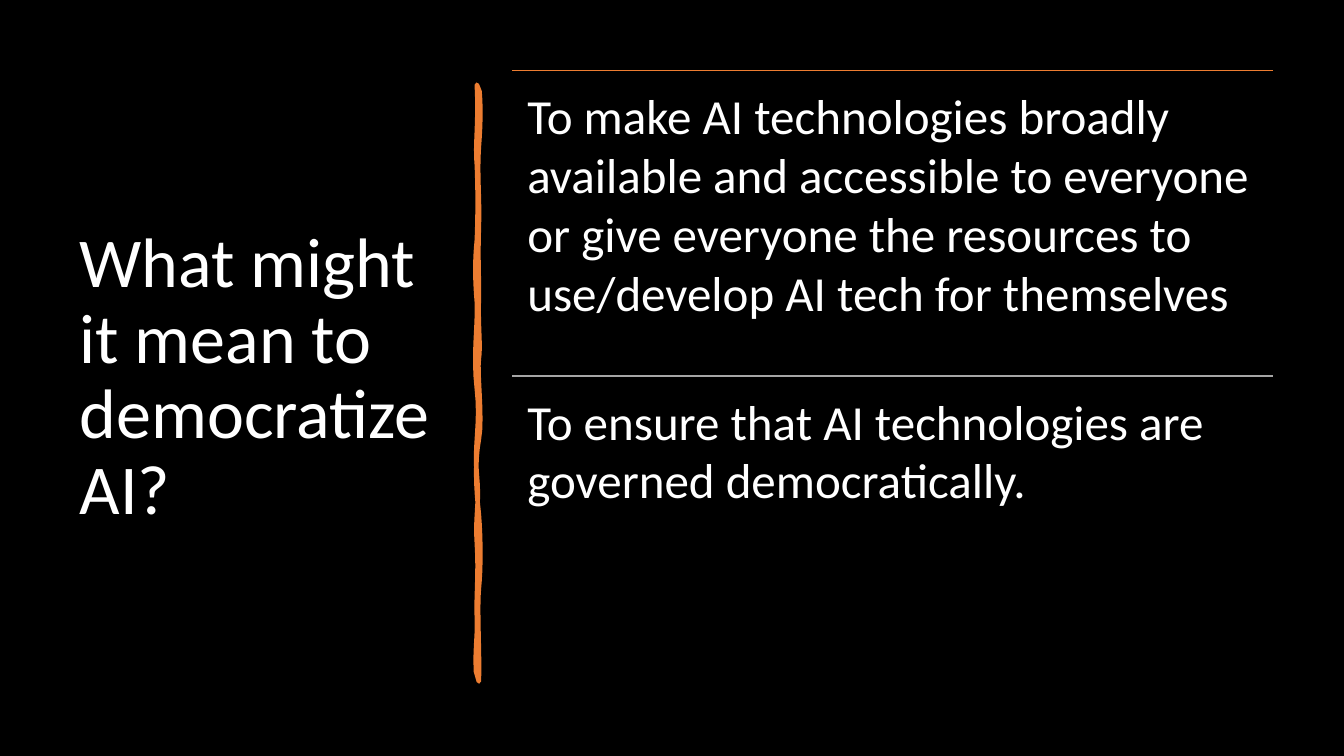
from pptx import Presentation
from pptx.dml.color import RGBColor
from pptx.enum import shapes, text
from pptx.oxml import ns
from pptx.util import Inches, Pt
from lxml import etree

BLACK = RGBColor(0x00, 0x00, 0x00)
WHITE = RGBColor(0xFF, 0xFF, 0xFF)
ORANGE = RGBColor(0xED, 0x7D, 0x31)
GRAY = RGBColor(0xA5, 0xA5, 0xA5)
FONT = "Calibri"

QUESTION = "What might it mean to democratize AI?"
MEANINGS = [
    ("To make AI technologies broadly available and accessible to everyone "
     "or give everyone the resources to use/develop AI tech for themselves", ORANGE),
    ("To ensure that AI technologies are governed democratically.", GRAY),
]

RIGHT_EDGE = [
    ((0.02, 0), (0.04, 0.18), (0.04, 0.35), (0.02, 0.62)),
    ((0.02, 0.62), (0, 0.89), (0.03, 1.11), (0.02, 1.42)),
    ((0.02, 1.42), (0.01, 1.73), (0.02, 1.78), (0.02, 2.1)),
    ((0.02, 2.1), (0.01, 2.41), (0.04, 2.58), (0.02, 2.72)),
    ((0.02, 2.72), (0, 2.86), (0.06, 3.3), (0.02, 3.52)),
    ((0.02, 3.52), (-0.02, 3.73), (-0.01, 4), (0.02, 4.26)),
    ((0.02, 4.26), (0.04, 4.52), (0.04, 4.8), (0.02, 5)),
    ((0.02, 5), (0, 5.19), (0.03, 5.66), (0.02, 5.92)),
]
LEFT_EDGE = [
    ((0, 5.92), (-0.03, 5.65), (0.01, 5.48), (0, 5.29)),
    ((0, 5.29), (-0.01, 5.11), (0.02, 4.85), (0, 4.55)),
    ((0, 4.55), (-0.02, 4.27), (0.03, 4.16), (0, 3.87)),
    ((0, 3.87), (-0.03, 3.58), (0.04, 3.36), (0, 3.02)),
    ((0, 3.02), (-0.04, 2.67), (0.01, 2.41), (0, 2.16)),
    ((0, 2.16), (-0.02, 1.91), (-0.02, 1.75), (0, 1.54)),
    ((0, 1.54), (0.01, 1.32), (0.01, 1.01), (0, 0.8)),
    ((0, 0.8), (-0.02, 0.59), (0.02, 0.37), (0, 0)),
]


def curve_points(curve, steps=8):
    """Return points along a cubic curve, without its start."""
    points = []
    for step in range(1, steps + 1):
        t = step / steps
        weights = ((1 - t) ** 3, 3 * t * (1 - t) ** 2, 3 * t * t * (1 - t), t ** 3)
        points.append(tuple(sum(w * p[axis] for w, p in zip(weights, curve))
                            for axis in (0, 1)))
    return points


def style_text(frame, size):
    """Give all text in a frame the slide's font and colour."""
    for paragraph in frame.paragraphs:
        paragraph.alignment = text.PP_ALIGN.LEFT
        for run in paragraph.runs:
            run.font.name = FONT
            run.font.size = Pt(size)
            run.font.color.rgb = WHITE


def add_question(slide, left, top, width, height):
    """Place the title, centred vertically in its box."""
    question = slide.shapes.title
    question.left, question.top = Inches(left), Inches(top)
    question.width, question.height = Inches(width), Inches(height)
    frame = question.text_frame
    frame.text = QUESTION
    frame.word_wrap = True
    frame.auto_size = text.MSO_AUTO_SIZE.NONE
    frame.vertical_anchor = text.MSO_ANCHOR.MIDDLE
    frame.paragraphs[0].line_spacing = 0.9
    style_text(frame, 50)


def add_brush_stroke(slide, left, top):
    """Draw the wavy upright divider from its top left corner."""
    points = [point for curve in RIGHT_EDGE + LEFT_EDGE for point in curve_points(curve)]
    outline = [(Inches(left + x), Inches(top + y)) for x, y in points]
    builder = slide.shapes.build_freeform(*outline[-1])
    builder.add_line_segments(outline[:-1], close=True)
    stroke = builder.convert_to_shape()
    stroke.shadow.inherit = False
    stroke.fill.solid()
    stroke.fill.fore_color.rgb = ORANGE
    stroke.line.color.rgb = ORANGE
    stroke.line.width = Pt(3.25)


def add_meaning(slide, meaning, color, left, top, width, height):
    """Place one answer under a coloured rule."""
    rule = slide.shapes.add_connector(
        shapes.MSO_CONNECTOR.STRAIGHT,
        Inches(left), Inches(top), Inches(left + width), Inches(top))
    rule.line.color.rgb = color
    rule.line.width = Pt(1)
    etree.SubElement(rule._element.spPr, ns.qn("a:effectLst"))

    answer = slide.shapes.add_textbox(
        Inches(left), Inches(top), Inches(width), Inches(height))
    frame = answer.text_frame
    frame.word_wrap = True
    frame.margin_left = frame.margin_right = Inches(0.15)
    frame.margin_top = frame.margin_bottom = Inches(0.15)
    frame.text = meaning
    style_text(frame, 35)


def add_meanings(slide, left, top, width, height):
    """Stack the answers in equal rows."""
    row = height / len(MEANINGS)
    for index, (meaning, color) in enumerate(MEANINGS):
        add_meaning(slide, meaning, color, left, top + index * row, width, row)


def main():
    """Build and save the slide."""
    deck = Presentation()
    deck.slide_width, deck.slide_height = Inches(13.33), Inches(7.5)
    slide = deck.slides.add_slide(deck.slide_layouts.get_by_name("Title Only"))
    slide.background.fill.solid()
    slide.background.fill.fore_color.rgb = BLACK
    add_question(slide, 0.69, 0.7, 3.74, 6.11)
    add_brush_stroke(slide, 4.73, 0.84)
    add_meanings(slide, 5.08, 0.7, 7.55, 6.06)
    deck.save("out.pptx")


if __name__ == "__main__":
    main()
